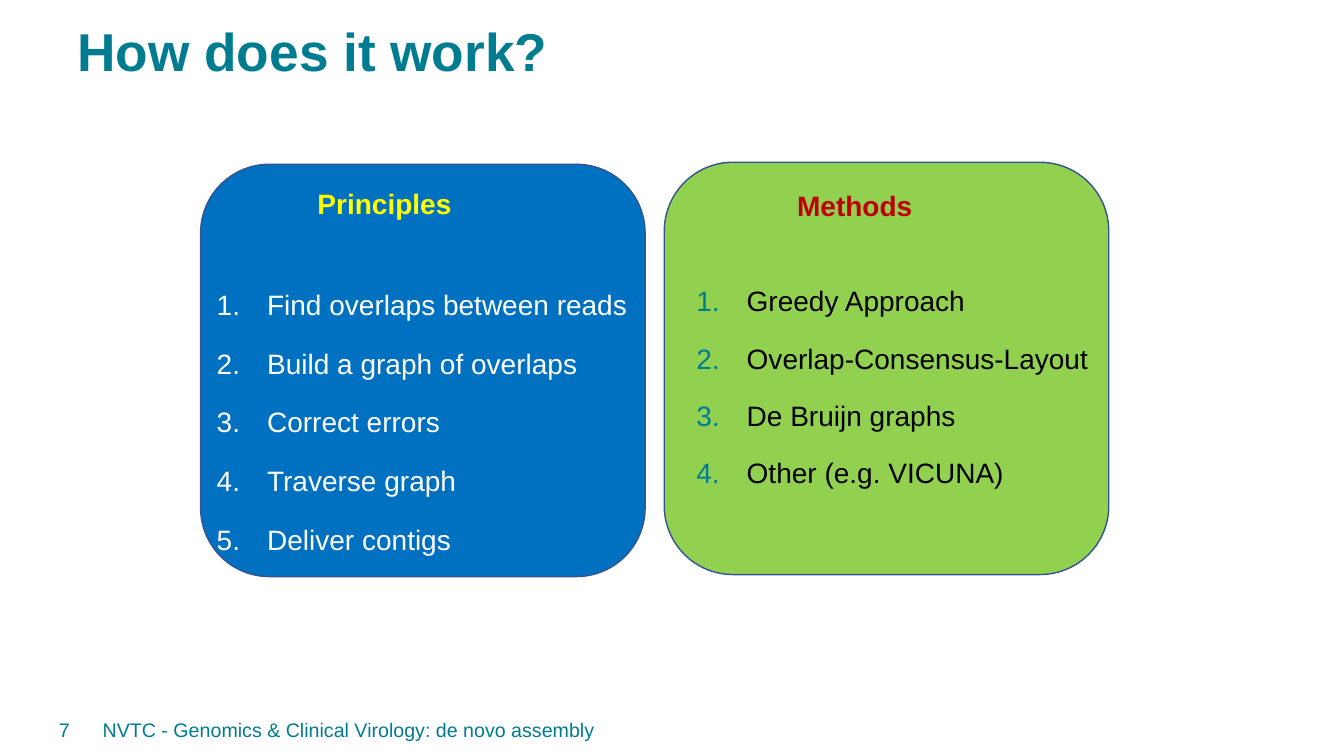
from dataclasses import dataclass

from lxml.etree import SubElement as Sub
from pptx import Presentation as Deck
from pptx.dml.color import RGBColor as Color
from pptx.enum.shapes import MSO_SHAPE as Shape
from pptx.enum.text import MSO_ANCHOR as Anchor, PP_ALIGN as Align
from pptx.oxml.ns import qn
from pptx.slide import Slide
from pptx.text.text import TextFrame as Frame, _Paragraph as Para
from pptx.util import Pt

TEAL = Color(0x00, 0x7C, 0x91)
BLUE = Color(0x00, 0x70, 0xC0)
GREEN = Color(0x92, 0xD0, 0x50)
NAVY = Color(0x32, 0x54, 0x91)
YELLOW = Color(0xFF, 0xFF, 0x00)
RED = Color(0xC0, 0x00, 0x00)
WHITE = Color(0xFF, 0xFF, 0xFF)
BLACK = Color(0x00, 0x00, 0x00)
FONT = "Arial"


@dataclass(frozen=True)
class Box:
    left: float
    top: float
    width: float
    height: float


@dataclass(frozen=True)
class Label:
    text: str
    box: Box
    size: float
    bold: bool = False
    align: Align = Align.LEFT
    anchor: Anchor = Anchor.MIDDLE
    pitch: float = 1.0


@dataclass(frozen=True)
class Panel:
    card: Box
    area: Box
    fill: Color
    head: str
    tint: Color
    pitch: float
    items: tuple[str, ...]
    ink: Color
    mark: Color
    first: float
    gap: float
    pad: tuple[float, float]


LABELS = (
    Label("How does it work?", Box(48.24, 14.4, 876.24, 76.32), 38,
          bold=True, anchor=Anchor.TOP, pitch=0.9),
    Label("NVTC - Genomics & Clinical Virology: de novo assembly",
          Box(66.24, 506.88, 787.68, 28.8), 14),
    Label("7", Box(10.08, 506.88, 46.8, 28.8), 14, align=Align.RIGHT),
)

PANELS = (
    Panel(Box(474.48, 115.92, 317.52, 294.48), Box(490.32, 133.92, 299.52, 288),
          GREEN, "Methods", RED, 0.9,
          ("Greedy Approach", "Overlap-Consensus-Layout",
           "De Bruijn graphs", "Other (e.g. VICUNA)"),
          BLACK, TEAL, 31.6, 5, (7.2, 3.6)),
    Panel(Box(143.28, 117.36, 317.52, 294.48), Box(154.8, 133.2, 321.84, 288.72),
          BLUE, "Principles", YELLOW, 1.0,
          ("Find overlaps between reads", "Build a graph of overlaps",
           "Correct errors", "Traverse graph", "Deliver contigs"),
          WHITE, WHITE, 36, 6, (0, 0)),
)


def place(box: Box) -> tuple[Pt, Pt, Pt, Pt]:
    return Pt(box.left), Pt(box.top), Pt(box.width), Pt(box.height)


def add_frame(slide: Slide, box: Box, pad: tuple[float, float] = (7.2, 3.6)) -> Frame:
    frame = slide.shapes.add_textbox(*place(box)).text_frame
    frame.word_wrap = True
    frame.margin_left = frame.margin_right = Pt(pad[0])
    frame.margin_top = frame.margin_bottom = Pt(pad[1])
    return frame


def add_run(para: Para, text: str, size: float, ink: Color, bold: bool = False) -> None:
    run = para.add_run()
    run.text = text
    run.font.name = FONT
    run.font.size = Pt(size)
    run.font.bold = bold
    run.font.color.rgb = ink


def indent(para: Para, left: float, hang: float = 0) -> None:
    props = para._p.get_or_add_pPr()
    props.set("marL", str(Pt(left)))
    props.set("indent", str(Pt(hang)))


def number(para: Para, mark: Color) -> None:
    indent(para, 36, -36)
    props = para._p.get_or_add_pPr()
    tint = Sub(props, qn("a:buClr"))
    Sub(tint, qn("a:srgbClr"), val=str(mark))
    Sub(props, qn("a:buFont"), typeface=FONT)
    Sub(props, qn("a:buAutoNum"), type="arabicPeriod")


def draw_label(slide: Slide, label: Label) -> None:
    frame = add_frame(slide, label.box)
    frame.vertical_anchor = label.anchor
    para = frame.paragraphs[0]
    para.alignment = label.align
    para.line_spacing = label.pitch
    add_run(para, label.text, label.size, TEAL, label.bold)


def draw_panel(slide: Slide, panel: Panel) -> None:
    card = slide.shapes.add_shape(Shape.ROUNDED_RECTANGLE, *place(panel.card))
    card.shadow.inherit = False
    card.fill.solid()
    card.fill.fore_color.rgb = panel.fill
    card.line.color.rgb = NAVY
    card.line.width = Pt(1)

    frame = add_frame(slide, panel.area, panel.pad)
    head = frame.paragraphs[0]
    head.line_spacing = panel.pitch
    head.space_before = Pt(panel.gap)
    indent(head, 72)
    add_run(head, panel.head, 20, panel.tint, True)
    for i, item in enumerate(panel.items):
        para = frame.add_paragraph()
        para.line_spacing = 1.5
        para.space_before = Pt(panel.gap if i else panel.first)
        number(para, panel.mark)
        add_run(para, item, 20, panel.ink)


def main() -> None:
    deck = Deck()
    deck.slide_width = Pt(960)
    deck.slide_height = Pt(540)
    slide = deck.slides.add_slide(deck.slide_layouts[6])
    for label in LABELS:
        draw_label(slide, label)
    for panel in PANELS:
        draw_panel(slide, panel)
    deck.save("out.pptx")


if __name__ == "__main__":
    main()
